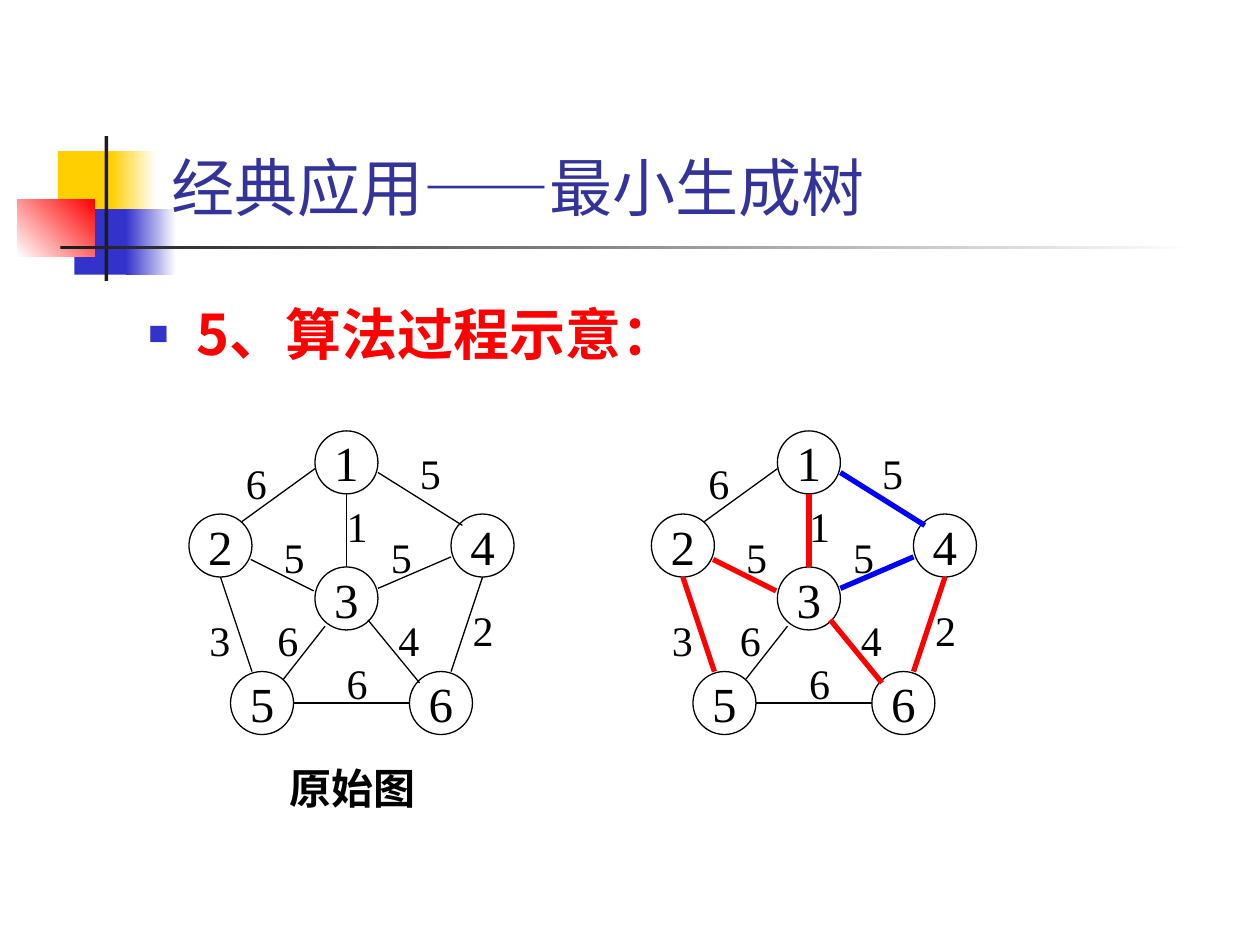
from dataclasses import dataclass
from lxml import etree
from pptx import Presentation
from pptx.dml.color import RGBColor
from pptx.enum.shapes import MSO_CONNECTOR, MSO_SHAPE
from pptx.enum.text import MSO_ANCHOR, PP_ALIGN
from pptx.oxml.ns import qn
from pptx.util import Inches, Pt

RECT, OVAL = MSO_SHAPE.RECTANGLE, MSO_SHAPE.OVAL
LINE = MSO_CONNECTOR.STRAIGHT
LEFT, MID = PP_ALIGN.LEFT, PP_ALIGN.CENTER
TOP, CENTER, BASE = MSO_ANCHOR.TOP, MSO_ANCHOR.MIDDLE, MSO_ANCHOR.BOTTOM


@dataclass(frozen=True)
class Theme:
    black: str = "000000"
    white: str = "FFFFFF"
    dark: str = "1C1C1C"
    gold: str = "FFCF01"
    navy: str = "333399"
    indigo: str = "3333CC"
    red: str = "FF0000"
    blue: str = "0000FF"
    serif: str = "Times New Roman"
    sans: str = "Arial"
    han: str = "Noto Sans CJK SC"
    title: int = 36
    body: int = 32
    node: int = 28
    label: int = 24
    thin: float = 0.75
    thick: float = 3


THEME = Theme()
SIDE = 0.5
BLOCKS = [
    ((0.46, 1.2, 0.48, 0.52), [THEME.gold], 0),
    ((0.88, 1.2, 0.36, 0.52), [THEME.gold, THEME.white], 0),
    ((0.59, 1.66, 0.46, 0.52), [THEME.indigo], 0),
    ((1, 1.66, 0.4, 0.52), [THEME.indigo, THEME.white], 0),
    ((0.14, 1.58, 0.61, 0.46), [THEME.white, THEME.red], 45),
    ((0.83, 1.08, 0.03, 1.15), [THEME.dark], 0),
    ((0.48, 1.95, 9, 0.03), [THEME.dark, THEME.white], 0),
]
NODES = {
    "1": (2.5, 3.42), "2": (1.5, 4.08), "3": (2.5, 4.5),
    "4": (3.58, 4.08), "5": (1.83, 5.33), "6": (3.25, 5.33),
}
EDGES = {
    "21": ((1.92, 4.14), (2.5, 3.72), "6", (1.87, 3.58)),
    "53": ((2.25, 5.39), (2.58, 4.97), "6", (2.12, 4.83)),
    "34": ((3, 4.67), (3.58, 4.42), "5", (3.02, 4.17)),
    "23": ((1.99, 4.44), (2.49, 4.69), "5", (2.17, 4.17)),
    "14": ((3, 3.75), (3.67, 4.17), "5", (3.25, 3.5)),
    "64": ((3.58, 5.33), (3.83, 4.58), "2", (3.67, 4.75)),
    "52": ((2, 5.33), (1.75, 4.58), "3", (1.58, 4.83)),
    "56": ((2.33, 5.58), (3.25, 5.58), "6", (2.67, 5.17)),
    "31": ((2.75, 4.5), (2.75, 3.92), "1", (2.67, 3.92)),
    "36": ((2.92, 4.92), (3.33, 5.42), "4", (3.08, 4.83)),
}
TREE = {edge: THEME.red for edge in ("23", "64", "52", "31", "36")}
TREE.update({edge: THEME.blue for edge in ("34", "14")})


def rgb(color):
    return RGBColor.from_string(color)


def write(shape, text, size, font=THEME.serif, color=THEME.black,
          bold=False, align=MID, anchor=TOP, wrap=True, inset=0.1):
    frame = shape.text_frame
    frame.word_wrap = wrap
    frame.vertical_anchor = anchor
    frame.margin_left = frame.margin_right = Inches(inset)
    para = frame.paragraphs[0]
    para.alignment = align
    run = para.add_run()
    run.text = text
    run.font.size = Pt(size)
    run.font.name = font
    run.font.bold = bold
    run.font.color.rgb = rgb(color)
    east = etree.Element(qn("a:ea"), typeface=THEME.han)
    run.font._element.find(qn("a:latin")).addnext(east)
    return para


def add_text(shapes, box, text, size, **style):
    shape = shapes.add_textbox(*map(Inches, box))
    return write(shape, text, size, **style)


def add_mark(para, color):
    props = para._p.get_or_add_pPr()
    props.set("marL", str(Inches(0.38)))
    props.set("indent", str(Inches(-0.38)))
    tint = etree.SubElement(props, qn("a:buClr"))
    etree.SubElement(tint, qn("a:srgbClr"), val=color)
    etree.SubElement(props, qn("a:buSzPct"), val="60000")
    etree.SubElement(props, qn("a:buFont"), typeface=THEME.sans)
    etree.SubElement(props, qn("a:buChar"), char="■")


def add_block(shapes, box, colors, angle):
    shape = shapes.add_shape(RECT, *map(Inches, box))
    shape.shadow.inherit = False
    shape.line.fill.background()
    if len(colors) == 1:
        shape.fill.solid()
        shape.fill.fore_color.rgb = rgb(colors[0])
        return
    shape.fill.gradient()
    shape.fill.gradient_angle = angle
    for stop, color in zip(shape.fill.gradient_stops, colors):
        stop.color.rgb = rgb(color)


def add_node(shapes, x, y, name):
    shape = shapes.add_shape(OVAL, *map(Inches, (x, y, SIDE, SIDE)))
    shape.shadow.inherit = False
    shape.fill.background()
    shape.line.color.rgb = rgb(THEME.black)
    shape.line.width = Pt(THEME.thin)
    write(shape, name, THEME.node, anchor=CENTER, wrap=False)


def add_edge(shapes, start, end, color, width):
    edge = shapes.add_connector(LINE, *map(Inches, start + end))
    edge.line.color.rgb = rgb(color)
    edge.line.width = Pt(width)
    etree.SubElement(edge._element.spPr, qn("a:effectLst"))


def add_graph(shapes, shift, marks):
    for name, (x, y) in NODES.items():
        add_node(shapes, x + shift, y, name)
    for key, (start, end, cost, spot) in EDGES.items():
        color = marks.get(key, THEME.black)
        width = THEME.thick if key in marks else THEME.thin
        ends = [(x + shift, y) for x, y in (start, end)]
        add_edge(shapes, *ends, color, width)
        box = (spot[0] + shift, spot[1], 0.33, SIDE)
        add_text(shapes, box, cost, THEME.label, inset=0)


def main():
    deck = Presentation()
    deck.slide_width, deck.slide_height = Inches(10), Inches(7.5)
    shapes = deck.slides.add_slide(deck.slide_layouts[6]).shapes
    for block in BLOCKS:
        add_block(shapes, *block)
    add_text(shapes, (1.26, 0.23, 8.52, 1.6), "经典应用——最小生成树",
             THEME.title, font=THEME.sans, color=THEME.navy,
             align=LEFT, anchor=BASE)
    head = add_text(shapes, (1.08, 2.33, 6.5, 0.83), "5、算法过程示意：",
                    THEME.body, font=THEME.han, color=THEME.red,
                    bold=True, align=LEFT)
    add_mark(head, THEME.indigo)
    add_graph(shapes.add_group_shape().shapes, 0, {})
    add_text(shapes, (1.92, 6, 1.75, 0.57), "原始图", THEME.label,
             font=THEME.han, bold=True)
    add_graph(shapes, 3.67, TREE)
    deck.save("out.pptx")


if __name__ == "__main__":
    main()
